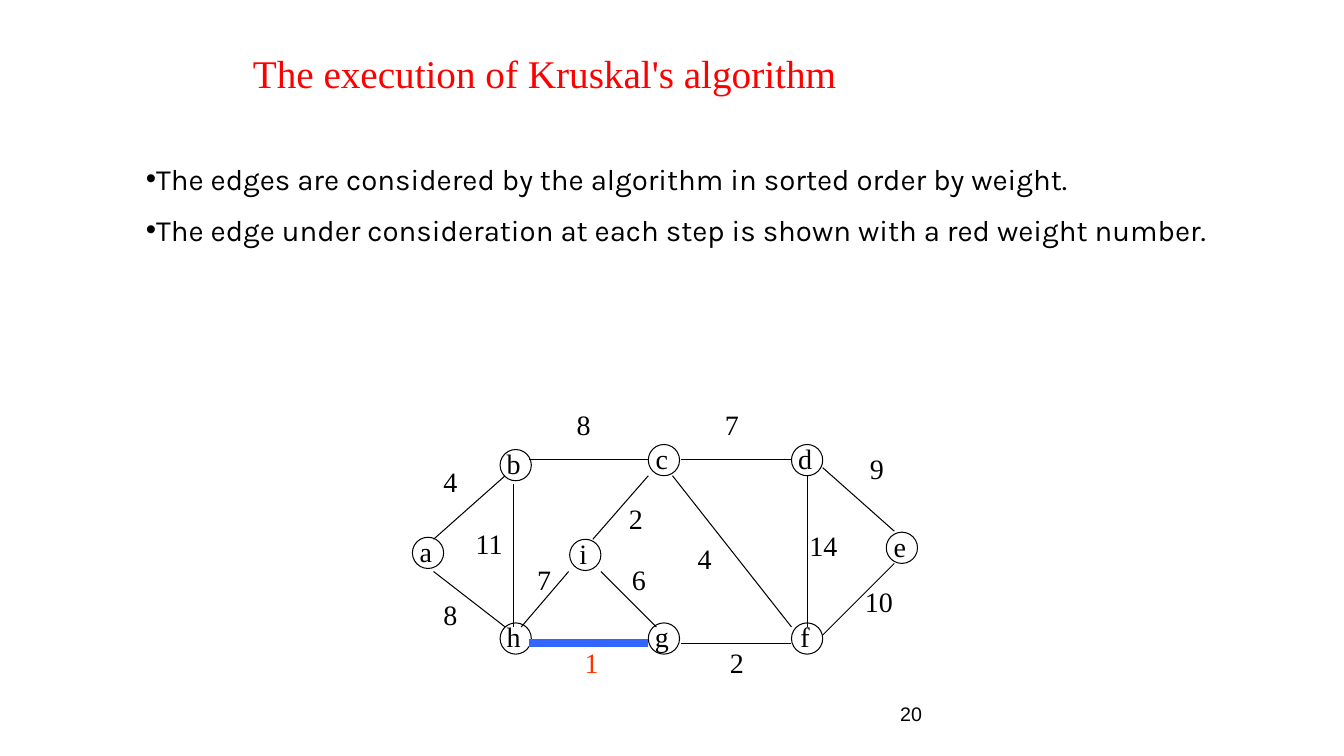
from lxml.etree import SubElement
from pptx import Presentation
from pptx.dml.color import RGBColor
from pptx.enum.shapes import MSO_CONNECTOR, MSO_SHAPE
from pptx.enum.text import MSO_ANCHOR, MSO_AUTO_SIZE, PP_ALIGN
from pptx.oxml.ns import qn
from pptx.util import Inches, Pt

BLACK, RED, ORANGE_RED, BLUE = "000000", "FF0000", "FF3300", "3366FF"
SERIF = "Times New Roman"
NODE_SIZE = 0.31
LABEL_WIDTH, LABEL_HEIGHT = 0.34, 0.43

# Left and top of each node circle
NODES = {
    "a": (4.09, 5.33), "b": (4.96, 4.46), "h": (4.96, 6.18),
    "c": (6.43, 4.41), "d": (7.85, 4.41), "e": (8.79, 5.28),
    "f": (7.85, 6.18), "g": (6.43, 6.18), "i": (5.65, 5.35),
}
# Start, end, weight, left and top of the weight label
EDGES = [
    ((4.3, 5.35), (5.01, 4.72), 4, (4.3, 4.56)),
    ((4.3, 5.67), (5.01, 6.22), 8, (4.3, 5.88)),
    ((5.09, 4.8), (5.09, 6.22), 11, (4.62, 5.17)),
    ((5.25, 4.56), (6.43, 4.56), 8, (5.62, 3.99)),
    ((5.25, 6.38), (6.43, 6.38), 1, (5.7, 6.35)),
    ((6.75, 6.38), (7.85, 6.38), 2, (7.14, 6.35)),
    ((6.67, 4.72), (7.85, 6.22), 4, (6.82, 5.32)),
    ((6.75, 4.56), (7.85, 4.56), 7, (7.09, 3.99)),
    ((8.01, 4.72), (8.01, 6.22), 14, (7.93, 5.19)),
    ((8.16, 4.64), (8.87, 5.27), 9, (8.53, 4.43)),
    ((8.16, 6.3), (8.87, 5.59), 10, (8.48, 5.75)),
    ((5.96, 5.67), (6.51, 6.22), 6, (6.17, 5.53)),
    ((5.17, 6.22), (5.64, 5.67), 7, (5.23, 5.53)),
    ((5.88, 5.35), (6.43, 4.72), 2, (6.14, 4.93)),
]
CONSIDERED_WEIGHT = 1


def color(hex_string):
    return RGBColor.from_string(hex_string)


def add_text(shapes, lines, left, top, width, height, size=20, font=SERIF,
             fill=BLACK, align=PP_ALIGN.LEFT, anchor=MSO_ANCHOR.TOP,
             wrap=False, bullet=None, gap=0):
    """Add a text box with one paragraph per line; gap is the points between them."""
    box = shapes.add_textbox(Inches(left), Inches(top), Inches(width), Inches(height))
    frame = box.text_frame
    frame.word_wrap = wrap
    frame.auto_size = MSO_AUTO_SIZE.NONE
    frame.vertical_anchor = anchor
    for index, line in enumerate(lines):
        paragraph = frame.paragraphs[0] if index == 0 else frame.add_paragraph()
        paragraph.alignment = align
        if index:
            paragraph.space_before = Pt(gap)
        if bullet:
            properties = paragraph._p.get_or_add_pPr()
            SubElement(properties, qn("a:buFont"), typeface="Arial")
            SubElement(properties, qn("a:buChar"), char=bullet)
        run = paragraph.add_run()
        run.text = line
        run.font.size = Pt(size)
        run.font.name = font
        run.font.color.rgb = color(fill)


presentation = Presentation()
presentation.slide_width = Inches(13.33)
presentation.slide_height = Inches(7.5)
slide = presentation.slides.add_slide(presentation.slide_layouts[6])

add_text(slide.shapes, ["20"], 8.83, 6.83, 2.08, 0.5, size=14, font="Arial",
         anchor=MSO_ANCHOR.MIDDLE, wrap=True)

graph = slide.shapes.add_group_shape().shapes

for name, (left, top) in NODES.items():
    label_left = left + (NODE_SIZE - LABEL_WIDTH) / 2 - 0.02
    add_text(graph, [name], label_left, top - 0.08, LABEL_WIDTH, LABEL_HEIGHT,
             align=PP_ALIGN.CENTER)
    circle = graph.add_shape(MSO_SHAPE.OVAL, Inches(left), Inches(top),
                             Inches(NODE_SIZE), Inches(NODE_SIZE))
    circle.shadow.inherit = False
    circle.fill.background()
    circle.line.color.rgb = color(BLACK)
    circle.line.width = Pt(0.75)

for start, end, weight, (label_left, label_top) in EDGES:
    considered = weight == CONSIDERED_WEIGHT
    edge = graph.add_connector(MSO_CONNECTOR.STRAIGHT,
                               *[Inches(value) for value in start + end])
    edge.line.color.rgb = color(BLUE if considered else BLACK)
    edge.line.width = Pt(6 if considered else 0.75)
    SubElement(edge._element.spPr, qn("a:effectLst"))
    add_text(graph, [str(weight)], label_left, label_top,
             0.2 + 0.14 * len(str(weight)), 0.44,
             fill=ORANGE_RED if considered else BLACK)

add_text(slide.shapes, ["The execution of Kruskal's algorithm"],
         2.41, 0.44, 8.35, 0.57, size=28, fill=RED, wrap=True)
add_text(slide.shapes, [
    "The edges are considered by the algorithm in sorted order by weight.",
    "The edge under consideration at each step is shown with a red weight number.",
], 1.35, 1.55, 11.6, 0.98, size=21, font="Karla", wrap=True, bullet="•", gap=11)

presentation.save("out.pptx")
